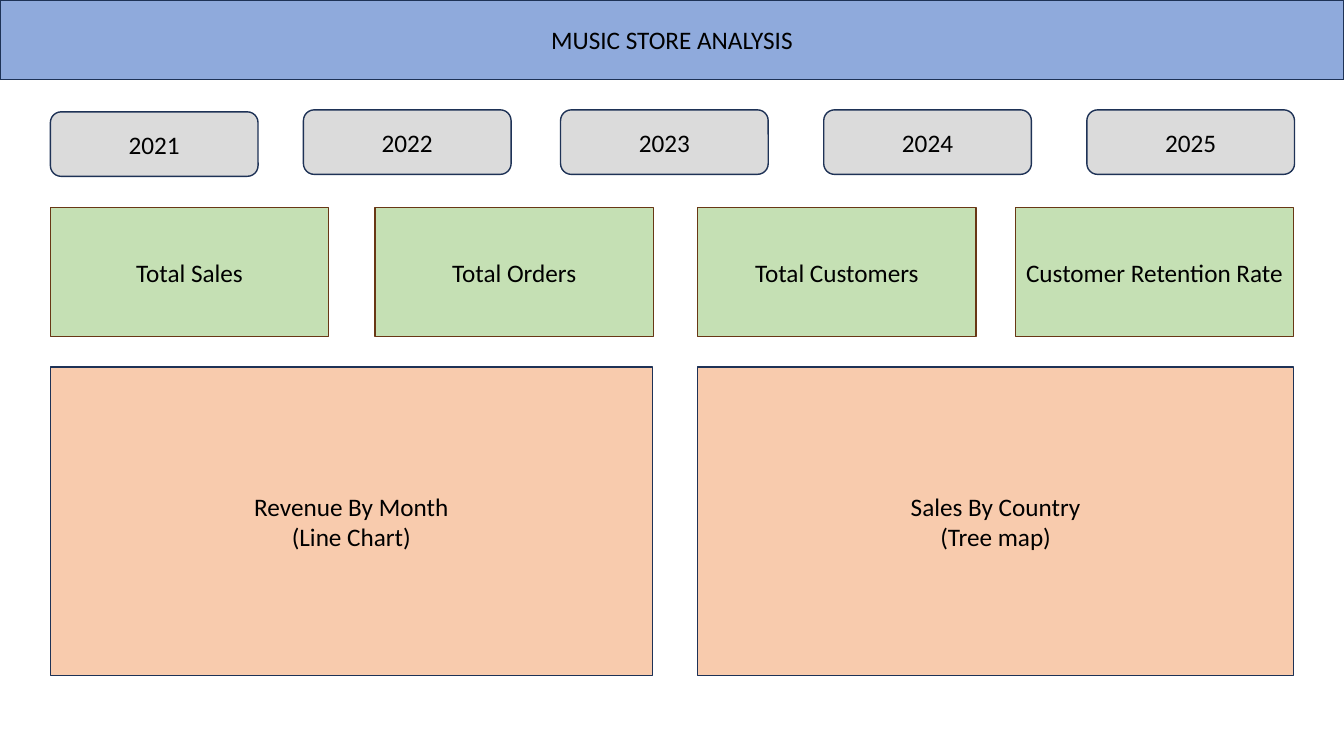
from pptx import Presentation
from pptx.dml.color import RGBColor
from pptx.enum.shapes import MSO_SHAPE
from pptx.enum.text import MSO_ANCHOR, PP_ALIGN
from pptx.util import Inches, Pt

RECTANGLE = MSO_SHAPE.RECTANGLE
ROUNDED = MSO_SHAPE.ROUNDED_RECTANGLE
MIDDLE = MSO_ANCHOR.MIDDLE
CENTER = PP_ALIGN.CENTER

BLUE = RGBColor(0x8F, 0xAA, 0xDC)
GREY = RGBColor(0xDB, 0xDB, 0xDB)
GREEN = RGBColor(0xC5, 0xE0, 0xB4)
ORANGE = RGBColor(0xF8, 0xCB, 0xAD)
NAVY = RGBColor(0x1E, 0x32, 0x56)
BROWN = RGBColor(0x68, 0x37, 0x15)
BLACK = RGBColor(0, 0, 0)

SLIDE_WIDTH = 13.33
YEARS = [("2021", 0.5, 1.11), ("2022", 3.01, 1.09), ("2023", 5.56, 1.09),
         ("2024", 8.17, 1.09), ("2025", 10.78, 1.09)]
METRICS = [("Total Sales", 0.5), ("Total Orders", 3.72),
           ("Total Customers", 6.92), ("Customer Retention Rate", 10.07)]
CHART_PANELS = [("Revenue By Month\n(Line Chart)", 0.5, 5.97),
                ("Sales By Country\n(Tree map)", 6.92, 5.91)]


def style_box(box, label, fill, outline):
    """Give a box its colours and centred label, one paragraph per line."""
    box.fill.solid()
    box.fill.fore_color.rgb = fill
    box.line.color.rgb = outline
    box.line.width = Pt(1)
    frame = box.text_frame
    frame.text = label
    frame.word_wrap = True
    frame.vertical_anchor = MIDDLE
    for paragraph in frame.paragraphs:
        paragraph.alignment = CENTER
        paragraph.font.name = "Calibri"
        paragraph.font.size = Pt(18)
        paragraph.font.color.rgb = BLACK


def add_box(slide, label, left, top, width, height, fill,
            outline=NAVY, outline_shape=RECTANGLE):
    box = slide.shapes.add_shape(outline_shape, Inches(left), Inches(top),
                                 Inches(width), Inches(height))
    box.shadow.inherit = False
    style_box(box, label, fill, outline)


def add_banner(slide, heading):
    banner = slide.shapes.title
    banner.left, banner.top = Inches(0), Inches(0)
    banner.width, banner.height = Inches(SLIDE_WIDTH), Inches(0.79)
    style_box(banner, heading, BLUE, NAVY)


def main():
    prs = Presentation()
    prs.slide_width = Inches(SLIDE_WIDTH)
    prs.slide_height = Inches(7.5)
    slide = prs.slides.add_slide(prs.slide_layouts.get_by_name("Title Only"))

    add_banner(slide, "MUSIC STORE ANALYSIS")
    for year, left, top in YEARS:
        add_box(slide, year, left, top, 2.06, 0.64, GREY, outline_shape=ROUNDED)
    for metric, left in METRICS:
        add_box(slide, metric, left, 2.06, 2.76, 1.28, GREEN, BROWN)
    for chart, left, width in CHART_PANELS:
        add_box(slide, chart, left, 3.64, width, 3.06, ORANGE)

    prs.save("out.pptx")


if __name__ == "__main__":
    main()
